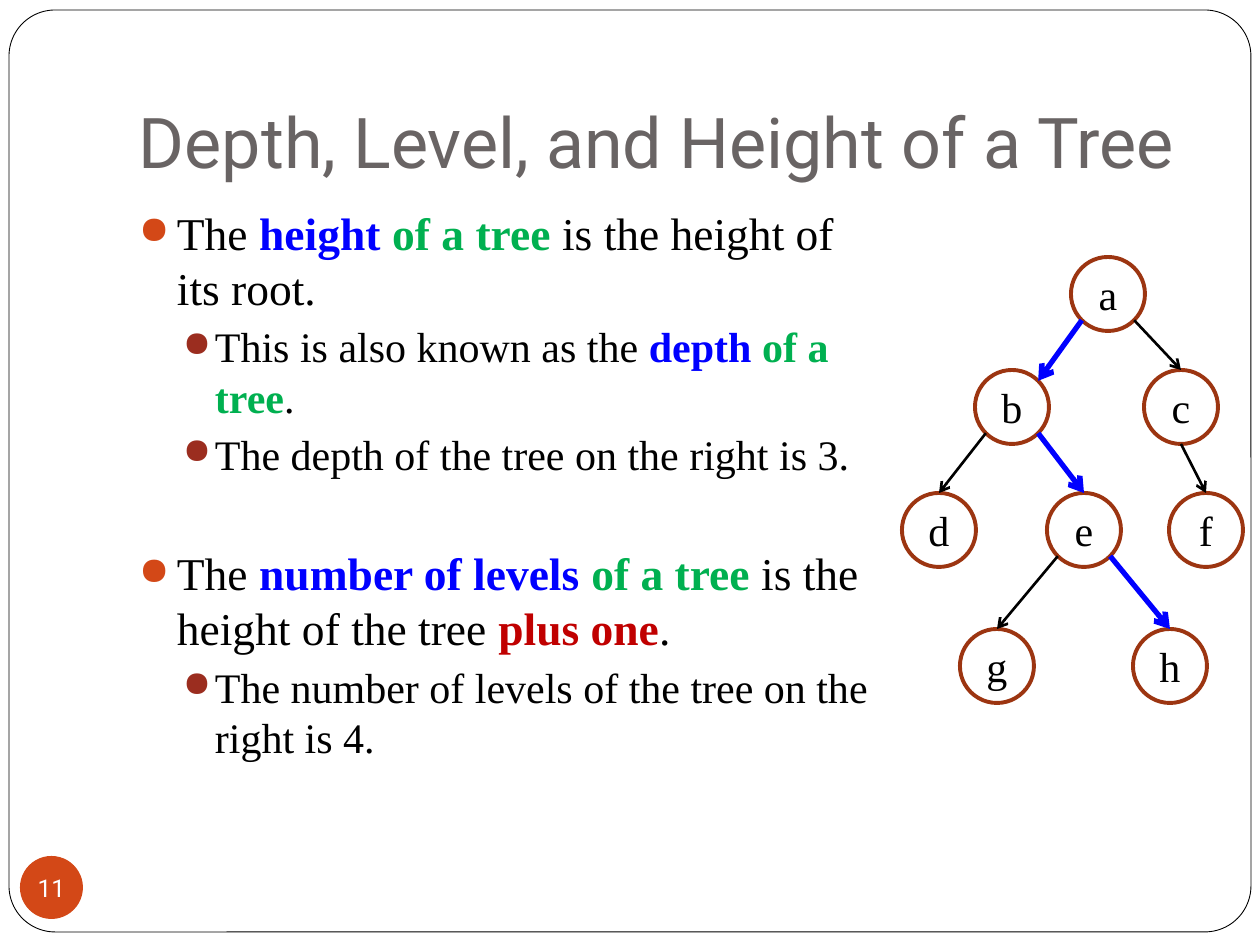
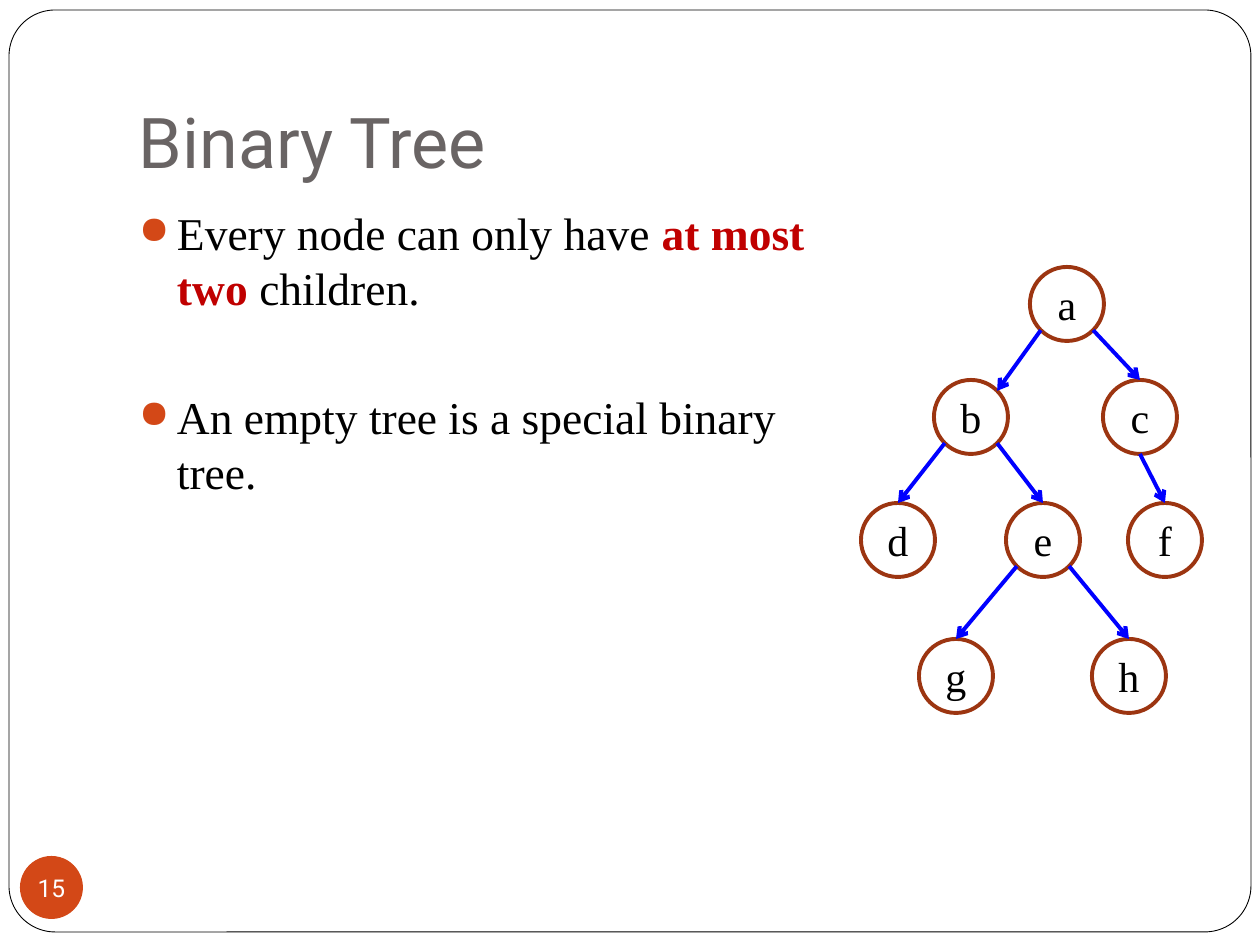
import math

import pptx
import pptx.dml.color
import pptx.enum.shapes
import pptx.enum.text
import pptx.oxml
import pptx.oxml.ns
import pptx.util

PX = 914400 / 126
SHAPES = pptx.enum.shapes.MSO_SHAPE
ALIGN = pptx.enum.text.PP_ALIGN
ANCHOR = pptx.enum.text.MSO_ANCHOR

COLORS = {
    "paper": "FFFFFF",
    "ink": "000000",
    "title": "696464",
    "accent": "D34817",
    "sub_bullet": "9B2D1F",
    "node": "9C3511",
    "blue": "0000FF",
    "green": "00B050",
    "red": "C00000",
}
TITLE_FONT, BODY_FONT = "Roboto", "Times New Roman"

# Per bullet level: text size, indent, hanging, space before, bullet colour
LEVELS = [
    {"size": 26, "indent": 38, "hanging": 38, "before": 5.8, "bullet": "accent"},
    {"size": 24, "indent": 76, "hanging": 32, "before": 3.7, "bullet": "sub_bullet"},
]
LINE_HEIGHT = 1.2

# Tree geometry relative to its top left corner
NODE_SIZE = 74
NODES = {
    "a": (169, 0), "b": (73, 113), "c": (242, 113), "d": (0, 236),
    "e": (145, 236), "f": (267, 236), "g": (58, 372), "h": (231, 372),
}
# Parent, angle on its rim, child, angle on its rim (degrees clockwise from right)
EDGES = [
    ("a", 135, "b", 315), ("b", 135, "d", 270), ("b", 45, "e", 270),
    ("a", 45, "c", 270), ("c", 90, "f", 270), ("e", 135, "g", 270),
    ("e", 45, "h", 270),
]


def px(value):
    return pptx.util.Emu(round(value * PX))


def rgb(name):
    return pptx.dml.color.RGBColor.from_string(COLORS[name])


def add_xml(parent, tag, **attributes):
    element = parent.makeelement(pptx.oxml.ns.qn(tag), attributes)
    parent.append(element)
    return element


def write_text(paragraph, runs, size, font=BODY_FONT, color="ink", align=None):
    """Runs are plain strings, or (text, colour) pairs for bold emphasis."""
    paragraph.alignment = align
    for item in [runs] if isinstance(runs, str) else runs:
        emphasis = not isinstance(item, str)
        run = paragraph.add_run()
        run.text = item[0] if emphasis else item
        run.font.name = font
        run.font.size = pptx.util.Pt(size)
        run.font.bold = emphasis
        run.font.color.rgb = rgb(item[1] if emphasis else color)


def set_frame(frame, anchor, margins, wrap=True):
    frame.word_wrap = wrap
    frame.vertical_anchor = anchor
    (frame.margin_left, frame.margin_top,
     frame.margin_right, frame.margin_bottom) = map(px, margins)


def add_shape(shapes, kind, box, fill=None, line=None, width=1):
    shape = shapes.add_shape(kind, *map(px, box))
    shape.shadow.inherit = False
    if fill:
        shape.fill.solid()
        shape.fill.fore_color.rgb = rgb(fill)
    else:
        shape.fill.background()
    if line:
        shape.line.color.rgb = rgb(line)
        shape.line.width = pptx.util.Pt(width)
    else:
        shape.line.fill.background()
    return shape


def add_circle(shapes, box, text, text_format, **style):
    circle = add_shape(shapes, SHAPES.OVAL, box, **style)
    set_frame(circle.text_frame, ANCHOR.MIDDLE, (0, 0, 0, 0), wrap=False)
    write_text(circle.text_frame.paragraphs[0], text, align=ALIGN.CENTER, **text_format)


def add_arrow(shapes, start, end, color, width):
    arrow = shapes.add_connector(
        pptx.enum.shapes.MSO_CONNECTOR.STRAIGHT, *map(px, start + end))
    arrow.line.color.rgb = rgb(color)
    arrow.line.width = pptx.util.Pt(width)
    add_xml(arrow.line._get_or_add_ln(), "a:tailEnd", type="arrow")
    add_xml(arrow._element.spPr, "a:effectLst")


def add_base(presentation, title, number):
    """Blank slide with the shared frame, title and number badge."""
    slide = presentation.slides.add_slide(presentation.slide_layouts[6])
    frame = add_shape(slide.shapes, SHAPES.ROUNDED_RECTANGLE, (9, 10, 1242, 922),
                      fill="paper", line="ink", width=0.5)
    frame.adjustments[0] = 0.05

    title_box = slide.shapes.add_textbox(*map(px, (126, 38, 1071, 157)))
    set_frame(title_box.text_frame, ANCHOR.BOTTOM, (13, 6, 13, 13))
    write_text(title_box.text_frame.paragraphs[0], title, size=40,
               font=TITLE_FONT, color="title")

    add_circle(slide.shapes, (20, 856, 63, 63), number,
               {"size": 14, "font": TITLE_FONT, "color": "paper"}, fill="accent")
    return slide


def format_bullet(paragraph, level, before):
    style = LEVELS[level]
    properties = paragraph._p.get_or_add_pPr()
    properties.set("marL", str(px(style["indent"])))
    properties.set("indent", str(-px(style["hanging"])))
    properties.set("lvl", str(level))
    paragraph.line_spacing = pptx.util.Pt(style["size"] * LINE_HEIGHT)
    paragraph.space_before = pptx.util.Pt(before)
    bullet_color = add_xml(properties, "a:buClr")
    add_xml(bullet_color, "a:srgbClr", val=COLORS[style["bullet"]])
    add_xml(properties, "a:buSzPct", val="85000")
    add_xml(properties, "a:buChar", char="●")


def add_bullets(slide, box, items):
    """Items are (level, extra space before in points, runs)."""
    frame = slide.shapes.add_textbox(*map(px, box)).text_frame
    set_frame(frame, ANCHOR.TOP, (13, 6, 13, 6))
    for index, (level, gap, runs) in enumerate(items):
        paragraph = frame.add_paragraph() if index else frame.paragraphs[0]
        format_bullet(paragraph, level, LEVELS[level]["before"] + gap if index else 0)
        write_text(paragraph, runs, size=LEVELS[level]["size"])


def add_tree(slide, left, top, edge_style):
    """Draw the tree; edge_style gives (colour, width) for a parent-child pair."""
    shapes = slide.shapes.add_group_shape().shapes
    radius = NODE_SIZE / 2

    def rim_point(name, angle):
        x, y = NODES[name]
        turn = math.radians(angle)
        return (left + x + radius * (1 + math.cos(turn)),
                top + y + radius * (1 + math.sin(turn)))

    for name, (x, y) in NODES.items():
        add_circle(shapes, (left + x, top + y, NODE_SIZE, NODE_SIZE), name,
                   {"size": 24}, line="node", width=2.25)
    for parent, start_angle, child, end_angle in EDGES:
        add_arrow(shapes, rim_point(parent, start_angle), rim_point(child, end_angle),
                  *edge_style(parent + child))


def build_height_slide(presentation):
    slide = add_base(presentation, "Depth, Level, and Height of a Tree", "11")
    add_bullets(slide, (126, 199, 766, 630), [
        (0, 0, ["The ", ("height ", "blue"), ("of a tree ", "green"),
                "is the height of its root."]),
        (1, 0, ["This is also known as the ", ("depth", "blue"),
                (" of a tree", "green"), "."]),
        (1, 0, "The depth of the tree on the right is 3."),
        (0, 32.5, ["The ", ("number of levels ", "blue"), ("of a tree", "green"),
                   " is the height of the tree ", ("plus one", "red"), "."]),
        (1, 0, "The number of levels of the tree on the right is 4."),
    ])
    longest_path = {"ab", "be", "eh"}
    add_tree(slide, 902, 257,
             lambda edge: ("blue", 3) if edge in longest_path else ("ink", 1.5))


def build_binary_slide(presentation):
    slide = add_base(presentation, "Binary Tree", "15")
    add_bullets(slide, (126, 199, 714, 630), [
        (0, 0, ["Every node can only have ", ("at most two", "red"), " children."]),
        (0, 37, "An empty tree is a special binary tree."),
    ])
    add_tree(slide, 861, 267, lambda edge: ("blue", 2.25))


def main():
    presentation = pptx.Presentation()
    presentation.slide_width, presentation.slide_height = px(1260), px(945)
    build_height_slide(presentation)
    build_binary_slide(presentation)
    presentation.save("out.pptx")


if __name__ == "__main__":
    main()
